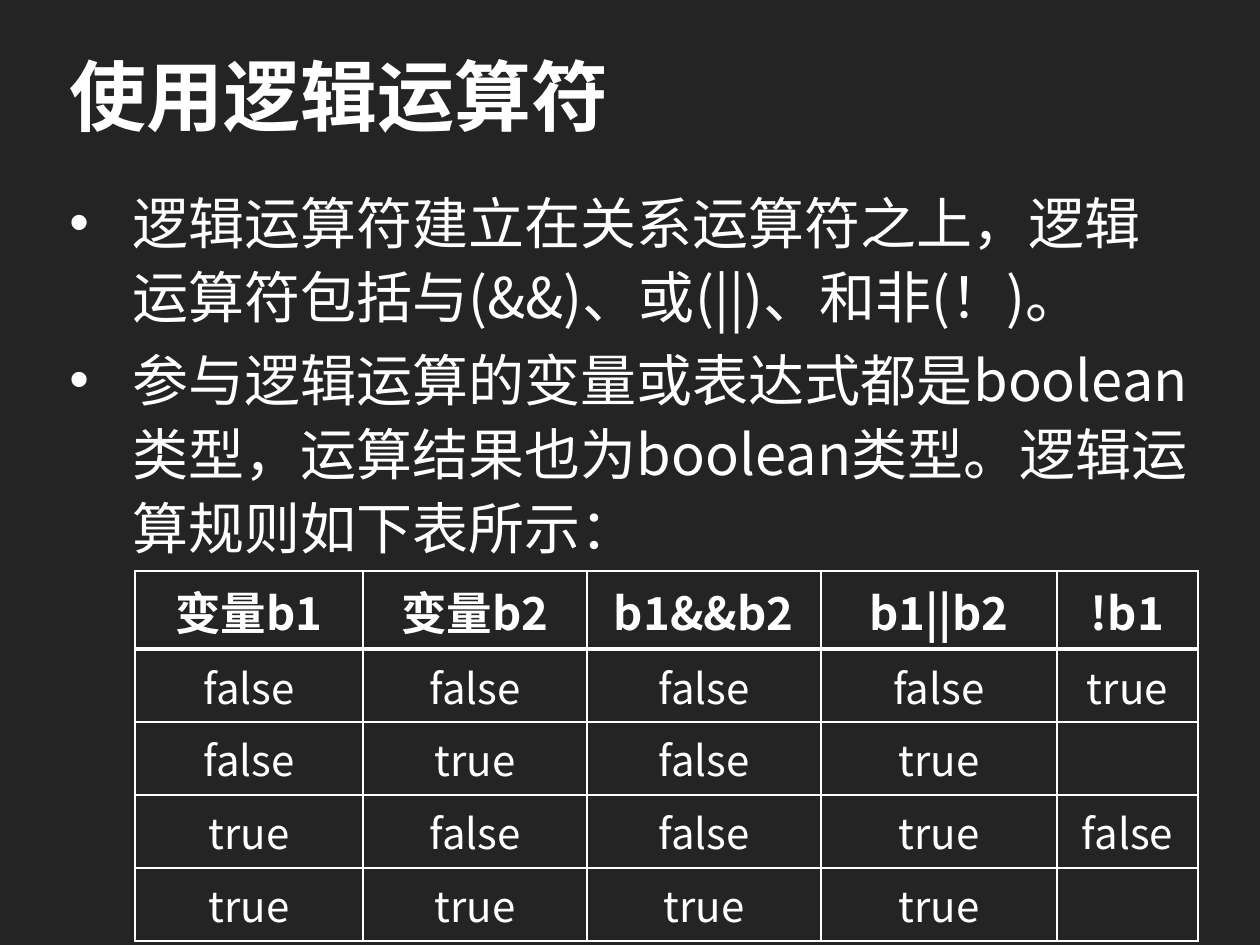
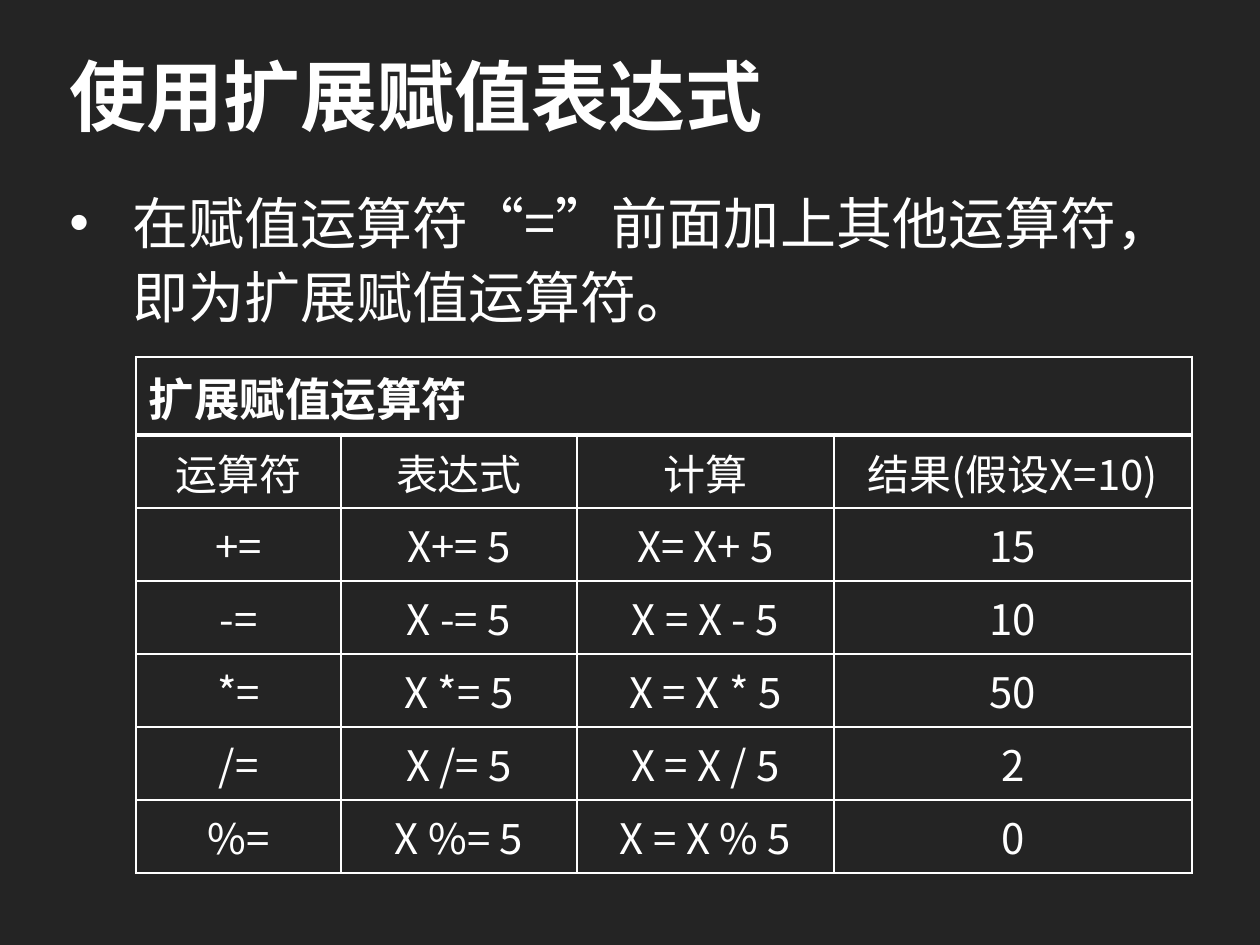
from lxml import etree
from pptx import Presentation
from pptx import util as u
from pptx.dml.color import RGBColor
from pptx.enum import text as t
from pptx.oxml import ns

COLORS = {"background": "242424", "foreground": "FFFFFF"}
FONT = "Noto Sans CJK SC"
PX = u.Inches(1) / 126
BLANK_LAYOUT = 6

TITLE_BOX = (57, 29, 1145, 131)
BODY_BOX = (57, 176, 1148, 699)
BULLET_INDENT = 63
HEADER_HEIGHT, ROW_HEIGHT = 78, 73
THIN, THICK = 1, 3


def px(length):
    return u.Emu(round(length * PX))


def color(name):
    return RGBColor.from_string(COLORS[name])


def add_run(paragraph, words, size, bold=False):
    run = paragraph.add_run()
    run.text = words
    font = run.font
    font.size, font.bold, font.name = u.Pt(size), bold, FONT
    font.color.rgb = color("foreground")
    east_asian = etree.SubElement(font._element, ns.qn("a:ea"))
    east_asian.set("typeface", FONT)


def add_text_frame(slide, box):
    frame = slide.shapes.add_textbox(*map(px, box)).text_frame
    frame.word_wrap = True
    return frame


def add_title(slide, box, title):
    frame = add_text_frame(slide, box)
    frame.vertical_anchor = t.MSO_ANCHOR.MIDDLE
    add_run(frame.paragraphs[0], title, 44, bold=True)


def add_bullets(slide, box, bullets):
    frame = add_text_frame(slide, box)
    for index, words in enumerate(bullets):
        paragraph = frame.add_paragraph() if index else frame.paragraphs[0]
        properties = paragraph._p.get_or_add_pPr()
        properties.set("marL", str(px(BULLET_INDENT)))
        properties.set("indent", str(-px(BULLET_INDENT)))
        etree.SubElement(properties, ns.qn("a:buFont")).set("typeface", "Arial")
        etree.SubElement(properties, ns.qn("a:buChar")).set("char", "•")
        paragraph.line_spacing = 1.1
        if index:
            paragraph.space_before = u.Pt(5)
        add_run(paragraph, words, 32)


def set_borders(cell, top, bottom):
    """Draw all four sides; top and bottom are line widths in points."""
    properties = cell._tc.get_or_add_tcPr()
    sides = {"lnL": THIN, "lnR": THIN, "lnT": top, "lnB": bottom}
    for index, (side, width) in enumerate(sides.items()):
        line = etree.Element(ns.qn(f"a:{side}"), w=str(u.Pt(width)))
        fill = etree.SubElement(line, ns.qn("a:solidFill"))
        etree.SubElement(fill, ns.qn("a:srgbClr"), val=COLORS["foreground"])
        properties.insert(index, line)


def add_table(slide, left, top, widths, rows):
    """Add a ruled table; a header row with a single entry spans all columns."""
    heights = [HEADER_HEIGHT] + [ROW_HEIGHT] * (len(rows) - 1)
    table = slide.shapes.add_table(
        len(rows), len(widths), px(left), px(top),
        px(sum(widths)), px(sum(heights))).table
    table.first_row = table.horz_banding = False
    for column, width in zip(table.columns, widths):
        column.width = px(width)
    for row, height in zip(table.rows, heights):
        row.height = px(height)

    spanning = len(rows[0]) == 1
    if spanning:
        table.cell(0, 0).merge(table.cell(0, len(widths) - 1))
    for row_index, row in enumerate(table.rows):
        is_header = row_index == 0
        for cell in row.cells:
            cell.fill.background()
            set_borders(cell, THICK if row_index == 1 else THIN,
                        THICK if is_header else THIN)
        for cell, words in zip(row.cells, rows[row_index]):
            cell.vertical_anchor = (
                t.MSO_ANCHOR.TOP if is_header else t.MSO_ANCHOR.MIDDLE)
            if words:
                paragraph = cell.text_frame.paragraphs[0]
                paragraph.alignment = (
                    t.PP_ALIGN.LEFT if is_header and spanning
                    else t.PP_ALIGN.CENTER)
                add_run(paragraph, words, 26 if is_header else 24, is_header)


def add_lesson_slide(presentation, title, bullets):
    slide = presentation.slides.add_slide(
        presentation.slide_layouts[BLANK_LAYOUT])
    add_title(slide, TITLE_BOX, title)
    add_bullets(slide, BODY_BOX, bullets)
    return slide


def add_logical_operators(presentation):
    slide = add_lesson_slide(presentation, "使用逻辑运算符", [
        "逻辑运算符建立在关系运算符之上，逻辑运算符包括与(&&)、或(||)、和非(！)。",
        "参与逻辑运算的变量或表达式都是boolean类型，运算结果也为boolean类型。"
        "逻辑运算规则如下表所示：",
    ])
    add_table(slide, 135, 571, [228, 224, 234, 236, 141], [
        ["变量b1", "变量b2", "b1&&b2", "b1||b2", "!b1"],
        ["false", "false", "false", "false", "true"],
        ["false", "true", "false", "true", ""],
        ["true", "false", "false", "true", "false"],
        ["true", "true", "true", "true", ""],
    ])


def add_compound_assignment(presentation):
    slide = add_lesson_slide(presentation, "使用扩展赋值表达式", [
        "在赋值运算符“=”前面加上其他运算符，即为扩展赋值运算符。",
    ])
    add_table(slide, 136, 357, [205, 236, 257, 358], [
        ["扩展赋值运算符"],
        ["运算符", "表达式", "计算", "结果(假设X=10)"],
        ["+=", "X+= 5", "X= X+ 5", "15"],
        ["-=", "X -= 5", "X = X - 5", "10"],
        ["*=", "X *= 5", "X = X * 5", "50"],
        ["/=", "X /= 5", "X = X / 5", "2"],
        ["%=", "X %= 5", "X = X % 5", "0"],
    ])


def main():
    presentation = Presentation()
    presentation.slide_width, presentation.slide_height = px(1260), px(945)
    background = presentation.slide_master.background.fill
    background.solid()
    background.fore_color.rgb = color("background")
    add_logical_operators(presentation)
    add_compound_assignment(presentation)
    presentation.save("out.pptx")


if __name__ == "__main__":
    main()
